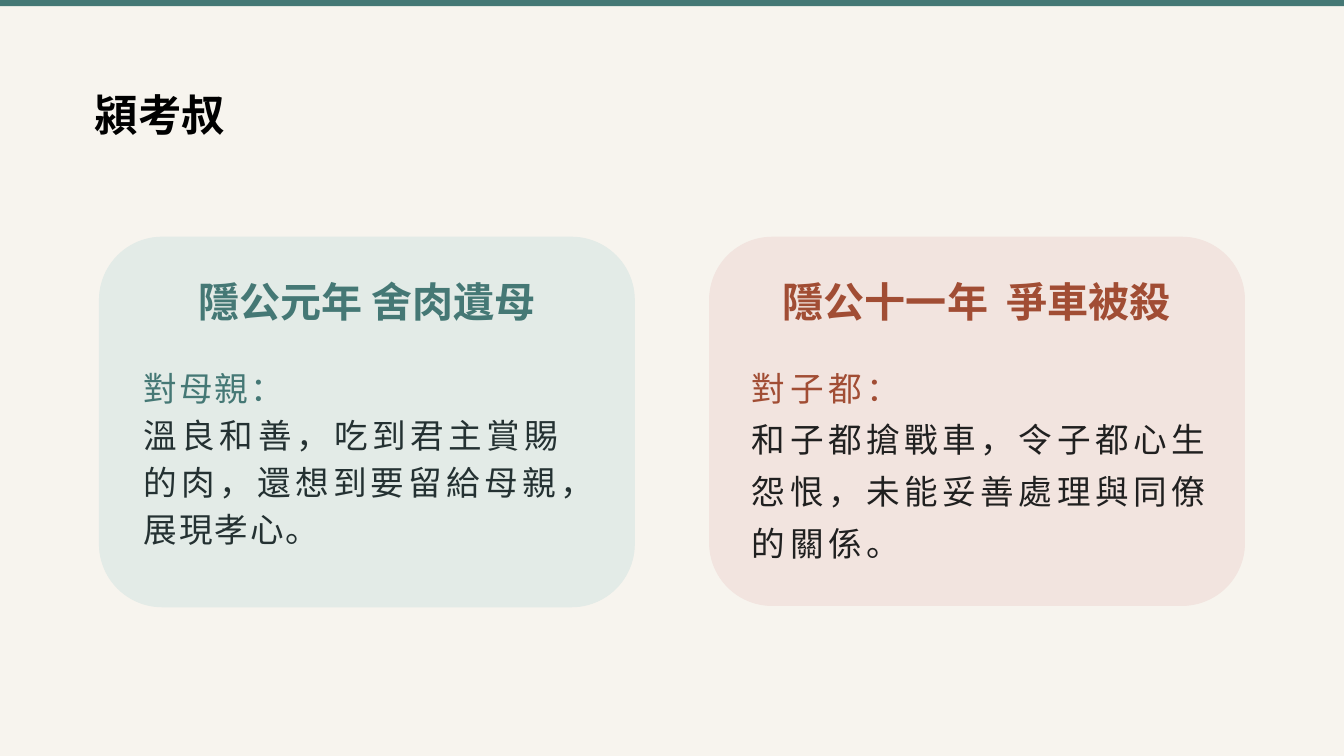
from lxml import etree
from pptx import Presentation
from pptx.dml.color import RGBColor
from pptx.enum import shapes, text
from pptx.oxml import ns
from pptx.util import Inches, Pt

COLORS = {
    "background": "F7F4EE", "green": "457875", "pale_green": "E3EBE7",
    "red": "A14D34", "pale_red": "F2E4DF", "dark_green": "243132",
    "charcoal": "202020", "black": "000000",
}
HEADING_FONT = "Noto Sans"
BODY_FONT = "Noto Sans CJK JP"
LEFT, CENTER, JUSTIFY = text.PP_ALIGN.LEFT, text.PP_ALIGN.CENTER, text.PP_ALIGN.JUSTIFY

presentation = Presentation()
presentation.slide_width = Inches(20)
presentation.slide_height = Inches(11.25)
slide = presentation.slides.add_slide(presentation.slide_layouts[6])
slide.background.fill.solid()
slide.background.fill.fore_color.rgb = RGBColor.from_string(COLORS["background"])


def add_panel(preset, box, color):
    """Add a shape whose fill and outline share one colour."""
    shape = slide.shapes.add_shape(preset, *map(Inches, box))
    shape.shadow.inherit = False
    shape.fill.solid()
    shape.fill.fore_color.rgb = RGBColor.from_string(COLORS[color])
    shape.line.color.rgb = RGBColor.from_string(COLORS[color])
    shape.line.width = Pt(1.05)
    return shape


def add_text(box, lines, size, font=HEADING_FONT, bold=False, align=LEFT, tracking=0):
    """Add a text box; each line is (wording, colour, line spacing in points)."""
    frame = slide.shapes.add_textbox(*map(Inches, box)).text_frame
    frame.word_wrap = True
    frame.margin_left = frame.margin_top = frame.margin_right = frame.margin_bottom = 0
    for index, (wording, color, spacing) in enumerate(lines):
        paragraph = frame.add_paragraph() if index else frame.paragraphs[0]
        paragraph.alignment = align
        paragraph.line_spacing = Pt(spacing)
        run = paragraph.add_run()
        run.text = wording
        run.font.size = Pt(size)
        run.font.name = font
        run.font.bold = bold
        run.font.color.rgb = RGBColor.from_string(COLORS[color])
        properties = run.font._element
        etree.SubElement(properties, ns.qn("a:ea"), typeface=BODY_FONT)
        if tracking:
            properties.set("spc", str(round(tracking * 100)))


top_bar = add_panel(shapes.MSO_SHAPE.RECTANGLE, (0, 0, 20, 0.09), "green")
top_bar.line.fill.background()

cards = [
    dict(box=(1.48, 3.53, 7.96, 5.5), fill="pale_green", accent="green",
         heading="隱公元年 舍肉遺母", heading_box=(2.8, 4.11, 5.33, 0.73),
         label="對母親：", body="溫良和善，吃到君主賞賜的肉，還想到要留給母親，展現孝心。",
         body_box=(2.14, 4.82, 6.2, 3.47), body_color="dark_green",
         spacing=50.4, align=JUSTIFY, tracking=2.1),
    dict(box=(10.56, 3.53, 7.96, 5.48), fill="pale_red", accent="red",
         heading="隱公十一年  爭車被殺", heading_box=(11.57, 4.11, 5.94, 0.73),
         label="對子都：", body="和子都搶戰車，令子都心生怨恨，未能妥善處理與同僚的關係。",
         body_box=(11.19, 4.82, 6.95, 3.62), body_color="charcoal",
         spacing=55.4, align=LEFT, tracking=4.9),
]
for card in cards:
    panel = add_panel(shapes.MSO_SHAPE.ROUNDED_RECTANGLE, card["box"], card["fill"])
    panel.adjustments[0] = 0.17
    add_text(card["heading_box"], [(card["heading"], card["accent"], 52.8)],
             size=44, bold=True, align=CENTER)
    add_text(card["body_box"],
             [(card["label"], card["accent"], 90),
              (card["body"], card["body_color"], card["spacing"])],
             size=36, font=BODY_FONT, align=card["align"], tracking=card["tracking"])

add_text((1.41, 1.31, 17.9, 0.77), [("潁考叔", "black", 55.8)], size=46.5, bold=True)

presentation.save("out.pptx")
